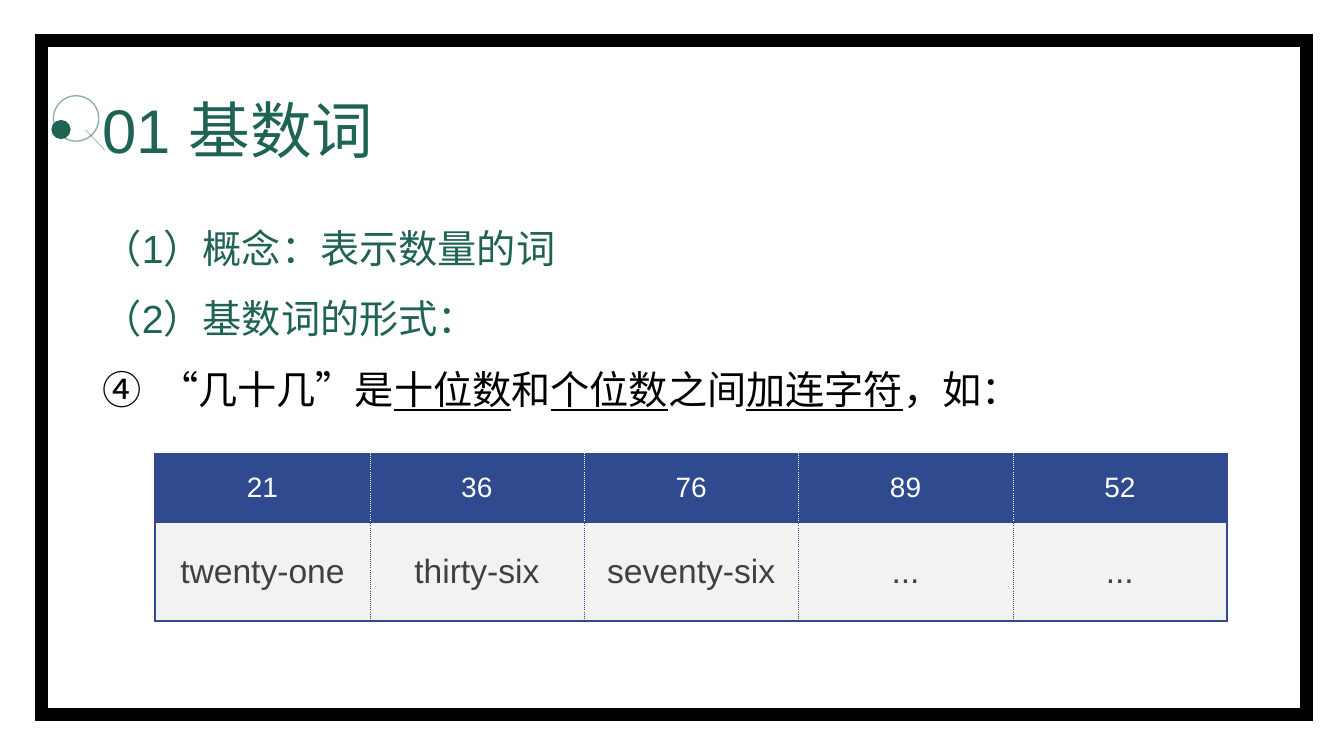
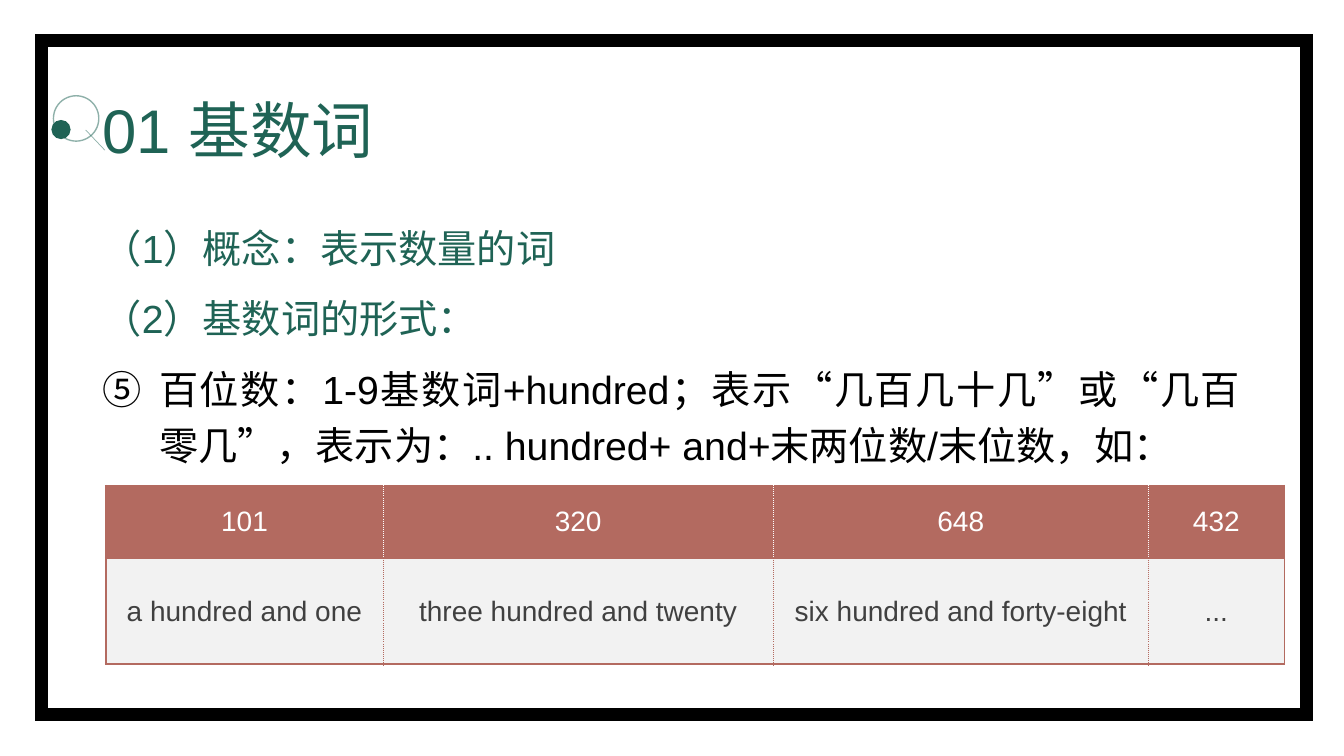
from lxml import etree
from pptx import Presentation
from pptx.dml.color import RGBColor
from pptx.enum.lang import MSO_LANGUAGE_ID
from pptx.enum.shapes import MSO_CONNECTOR, MSO_SHAPE
from pptx.enum.text import MSO_ANCHOR, PP_ALIGN
from pptx.oxml.ns import qn
from pptx.util import Inches, Pt

CHINESE = MSO_LANGUAGE_ID.SIMPLIFIED_CHINESE
STRAIGHT = MSO_CONNECTOR.STRAIGHT
RECTANGLE, OVAL = MSO_SHAPE.RECTANGLE, MSO_SHAPE.OVAL
TOP, MIDDLE = MSO_ANCHOR.TOP, MSO_ANCHOR.MIDDLE
LEFT, CENTER, JUSTIFY = PP_ALIGN.LEFT, PP_ALIGN.CENTER, PP_ALIGN.JUSTIFY

FONT = "Arial"
GREEN, BLACK, WHITE = "1F6355", "000000", "FFFFFF"
BLUE, BRICK = "2F4A8F", "B36A60"
PALE, DARK_GRAY = "F2F2F2", "404040"
HINTS = ["（1）概念：表示数量的词", "（2）基数词的形式："]


def color(value):
    return RGBColor.from_string(value)


def child(parent, tag, **attributes):
    return etree.SubElement(parent, qn(tag), attributes)


def add_text(paragraph, text, size=28, ink=BLACK, underline=False,
             language=None):
    run = paragraph.add_run()
    run.text = text
    font = run.font
    font.name, font.size, font.bold = FONT, Pt(size), False
    font.color.rgb = color(ink)
    font.underline = underline
    if language:
        font.language_id = language


def add_border(cell, side, ink, width, dash):
    border = child(cell._tc.get_or_add_tcPr(), side, w=str(Pt(width)))
    child(child(border, "a:solidFill"), "a:srgbClr", val=ink)
    child(border, "a:prstDash", val=dash)


class LessonDeck:
    """Hold the lesson style and the slide being built."""

    def __init__(self):
        self.deck = Presentation()
        self.deck.slide_width = Inches(13.33)
        self.deck.slide_height = Inches(7.5)
        self.slide = None

    def start_slide(self, title):
        self.slide = self.deck.slides.add_slide(self.deck.slide_layouts[6])
        self.shape(RECTANGLE, 0.41, 0.4, 12.55, 6.69, WHITE, BLACK, 9)
        self.shape(OVAL, 0.53, 0.95, 0.45, 0.45, outline=GREEN, opacity=50)
        self.line(0.85, 1.29, 1.04, 1.49, GREEN, 0.5, 50)
        self.shape(OVAL, 0.51, 1.19, 0.19, 0.19, GREEN)
        frame = self.text_frame(0.92, 0.48, 11.5, 1.45, MIDDLE)
        self.paragraph(frame.paragraphs[0], [(title, False)], LEFT, 0,
                       size=44, ink=GREEN)

    def shape(self, kind, left, top, width, height, fill=None,
              outline=None, weight=1, opacity=100):
        shape = self.slide.shapes.add_shape(
            kind, Inches(left), Inches(top), Inches(width), Inches(height))
        shape.shadow.inherit = False
        if fill:
            shape.fill.solid()
            shape.fill.fore_color.rgb = color(fill)
        else:
            shape.fill.background()
        if outline:
            self.stroke(shape, outline, weight, opacity)
        else:
            shape.line.fill.background()

    def line(self, x1, y1, x2, y2, ink, weight, opacity):
        line = self.slide.shapes.add_connector(
            STRAIGHT, Inches(x1), Inches(y1), Inches(x2), Inches(y2))
        self.stroke(line, ink, weight, opacity)
        child(line._element.spPr, "a:effectLst")

    def stroke(self, shape, ink, weight, opacity):
        shape.line.color.rgb = color(ink)
        shape.line.width = Pt(weight)
        outline = shape._element.spPr.find(qn("a:ln"))
        child(outline, "a:miter", lim="800000")
        if opacity < 100:
            for tint in outline.iter(qn("a:srgbClr")):
                child(tint, "a:alpha", val=str(opacity * 1000))

    def text_frame(self, left, top, width, height, anchor):
        frame = self.slide.shapes.add_textbox(
            Inches(left), Inches(top), Inches(width), Inches(height)
        ).text_frame
        frame.word_wrap = True
        frame.vertical_anchor = anchor
        return frame

    def paragraph(self, paragraph, runs, align, before, **style):
        paragraph.alignment = align
        paragraph.line_spacing = 1.2
        paragraph.space_before = Pt(before)
        for text, underline in runs:
            add_text(paragraph, text, underline=underline, language=CHINESE,
                     **style)

    def rules(self, number, rule):
        frame = self.text_frame(0.92, 2.08, 11.48, 4.76, TOP)
        paragraph = frame.paragraphs[0]
        for hint in HINTS:
            self.paragraph(paragraph, [(hint, False)], JUSTIFY, 10, ink=GREEN)
            paragraph = frame.add_paragraph()
        self.paragraph(paragraph, rule, JUSTIFY, 10)
        properties = paragraph._p.get_or_add_pPr()
        properties.set("marL", str(Inches(0.56)))
        properties.set("indent", str(-Inches(0.56)))
        child(properties, "a:buFont", typeface="+mj-lt")
        child(properties, "a:buAutoNum", type="circleNumDbPlain",
              startAt=str(number))

    def table(self, left, top, widths, heights, examples, accent, word_size):
        table = self.slide.shapes.add_table(
            len(heights), len(widths), Inches(left), Inches(top),
            Inches(sum(widths)), Inches(sum(heights))).table
        table.horz_banding = False
        for column, width in zip(table.columns, widths):
            column.width = Inches(width)
        for row, height in zip(table.rows, heights):
            row.height = Inches(height)
        looks = [(accent, WHITE, WHITE, 20),
                 (PALE, DARK_GRAY, accent, word_size)]
        last = len(widths) - 1
        for column, example in enumerate(examples):
            for row, (fill, ink, divider, size) in enumerate(looks):
                cell = table.cell(row, column)
                edge, inner = (accent, 1.5, "solid"), (divider, 0.25, "dot")
                add_border(cell, "a:lnL", *(inner if column else edge))
                add_border(cell, "a:lnR", *(edge if column == last else inner))
                add_border(cell, "a:lnT", *edge)
                add_border(cell, "a:lnB", *edge)
                cell.fill.solid()
                cell.fill.fore_color.rgb = color(fill)
                cell.vertical_anchor = MIDDLE
                paragraph = cell.text_frame.paragraphs[0]
                paragraph.alignment = CENTER
                add_text(paragraph, example[row], size=size, ink=ink)


def main():
    lesson = LessonDeck()

    lesson.start_slide("01 基数词")
    lesson.rules(4, [
        ("“几十几”是", False), ("十位数", True), ("和", False),
        ("个位数", True), ("之间", False), ("加连字符", True),
        ("，如：", False)])
    lesson.table(1.54, 4.5, [10.63 / 5] * 5, [0.68, 0.98], [
        ("21", "twenty-one"), ("36", "thirty-six"), ("76", "seventy-six"),
        ("89", "..."), ("52", "...")], BLUE, 24)

    lesson.start_slide("01 基数词")
    lesson.rules(5, [
        ("百位数：1-9基数词+hundred；表示“几百几十几”或“几百零几”，"
         "表示为：.. hundred+ and+末两位数/末位数，如：", False)])
    lesson.table(1.05, 4.82, [2.75, 3.87, 3.72, 1.35], [0.72, 1.05], [
        ("101", "a hundred and one"), ("320", "three hundred and twenty"),
        ("648", "six hundred and forty-eight"), ("432", "...")], BRICK, 20)

    lesson.deck.save("out.pptx")


if __name__ == "__main__":
    main()
